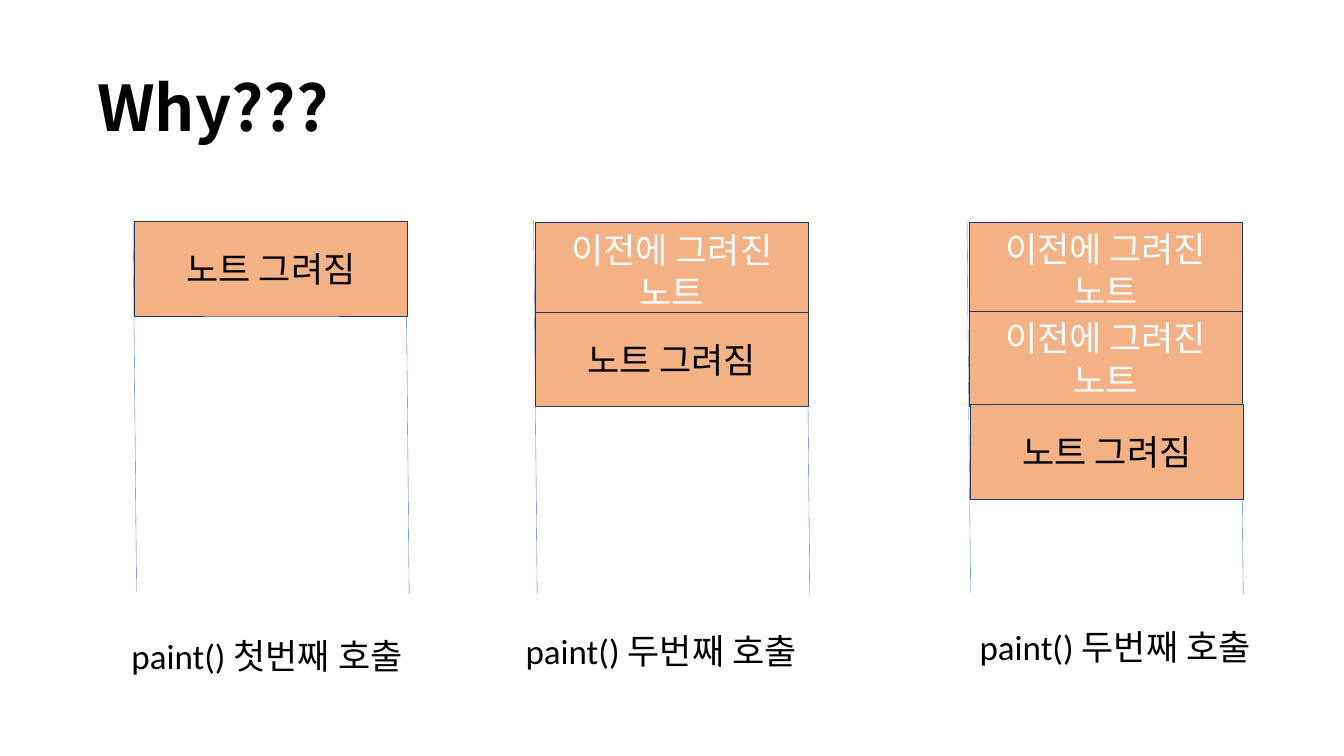
from lxml.etree import SubElement
from pptx import Presentation
from pptx.dml.color import RGBColor
from pptx.enum.shapes import MSO_CONNECTOR, MSO_SHAPE
from pptx.enum.text import MSO_ANCHOR, PP_ALIGN
from pptx.oxml.ns import qn
from pptx.util import Inches, Pt

BLACK, WHITE = "000000", "FFFFFF"
NOTE_FILL, NOTE_BORDER, RAIL_COLOR = "F4B183", "223961", "4472C4"
NOTE_WIDTH, NOTE_HEIGHT = 5.42, 1.88
RAIL_GAP, RAIL_STEP = 5.41, 0.03
RAIL_SLANT, RAIL_HEIGHT = 0.07, 7.39

DRAWN = ("노트 그려짐", BLACK)
EARLIER = ("이전에 그려진 노트", WHITE)

# Each call: rail start, notes as (left, top, label), caption as (left, top, width, text)
PAINT_CALLS = [
    ((2.64, 4.36), [(2.67, 4.39, DRAWN)],
     (2.51, 12.55, 6.7, "paint() 첫번째 호출")),
    ((10.59, 4.39), [(10.62, 4.42, EARLIER), (10.62, 6.19, DRAWN)],
     (10.33, 12.44, 6.01, "paint() 두번째 호출")),
    ((19.19, 4.38),
     [(19.23, 4.41, EARLIER), (19.23, 6.18, EARLIER), (19.26, 8.02, DRAWN)],
     (19.34, 12.37, 6.22, "paint() 두번째 호출")),
]


def rgb(color):
    return RGBColor.from_string(color)


def write(shape, text, color=BLACK, size=50, font="Calibri", bold=False):
    """Fill a shape with one paragraph and return that paragraph."""
    frame = shape.text_frame
    frame.word_wrap = True
    frame.text = text
    paragraph = frame.paragraphs[0]
    run_font = paragraph.runs[0].font
    run_font.name, run_font.size, run_font.bold = font, Pt(size), bold
    run_font.color.rgb = rgb(color)
    return paragraph


def add_text(slide, left, top, width, height, text, **style):
    box = slide.shapes.add_textbox(
        Inches(left), Inches(top), Inches(width), Inches(height))
    write(box, text, **style)
    return box


def add_title(slide, text):
    title = add_text(slide, 1.83, 0.76, 23, 2.9, text,
                     size=90, font="Noto Sans CJK KR", bold=True)
    title.text_frame.vertical_anchor = MSO_ANCHOR.MIDDLE
    title.text_frame.paragraphs[0].line_spacing = 0.9


def add_rail(slide, left, top):
    rail = slide.shapes.add_connector(
        MSO_CONNECTOR.STRAIGHT, Inches(left), Inches(top),
        Inches(left + RAIL_SLANT), Inches(top + RAIL_HEIGHT))
    rail.line.color.rgb = rgb(RAIL_COLOR)
    rail.line.width = Pt(0.5)
    SubElement(rail._element.spPr, qn("a:effectLst"))


def add_note(slide, left, top, label):
    note = slide.shapes.add_shape(
        MSO_SHAPE.RECTANGLE, Inches(left), Inches(top),
        Inches(NOTE_WIDTH), Inches(NOTE_HEIGHT))
    note.shadow.inherit = False
    note.fill.solid()
    note.fill.fore_color.rgb = rgb(NOTE_FILL)
    note.line.color.rgb = rgb(NOTE_BORDER)
    note.line.width = Pt(1)
    note.text_frame.vertical_anchor = MSO_ANCHOR.MIDDLE
    text, color = label
    write(note, text, color).alignment = PP_ALIGN.CENTER


def add_paint_call(slide, rail_start, notes, caption):
    left, top = rail_start
    add_rail(slide, left, top)
    add_rail(slide, left + RAIL_GAP, top + RAIL_STEP)
    for note in notes:
        add_note(slide, *note)
    caption_left, caption_top, width, text = caption
    add_text(slide, caption_left, caption_top, width, 0.93, text)


def main():
    presentation = Presentation()
    presentation.slide_width = Inches(26.67)
    presentation.slide_height = Inches(15)
    slide = presentation.slides.add_slide(presentation.slide_layouts[6])
    add_title(slide, "Why???")
    for paint_call in PAINT_CALLS:
        add_paint_call(slide, *paint_call)
    presentation.save("out.pptx")


if __name__ == "__main__":
    main()
